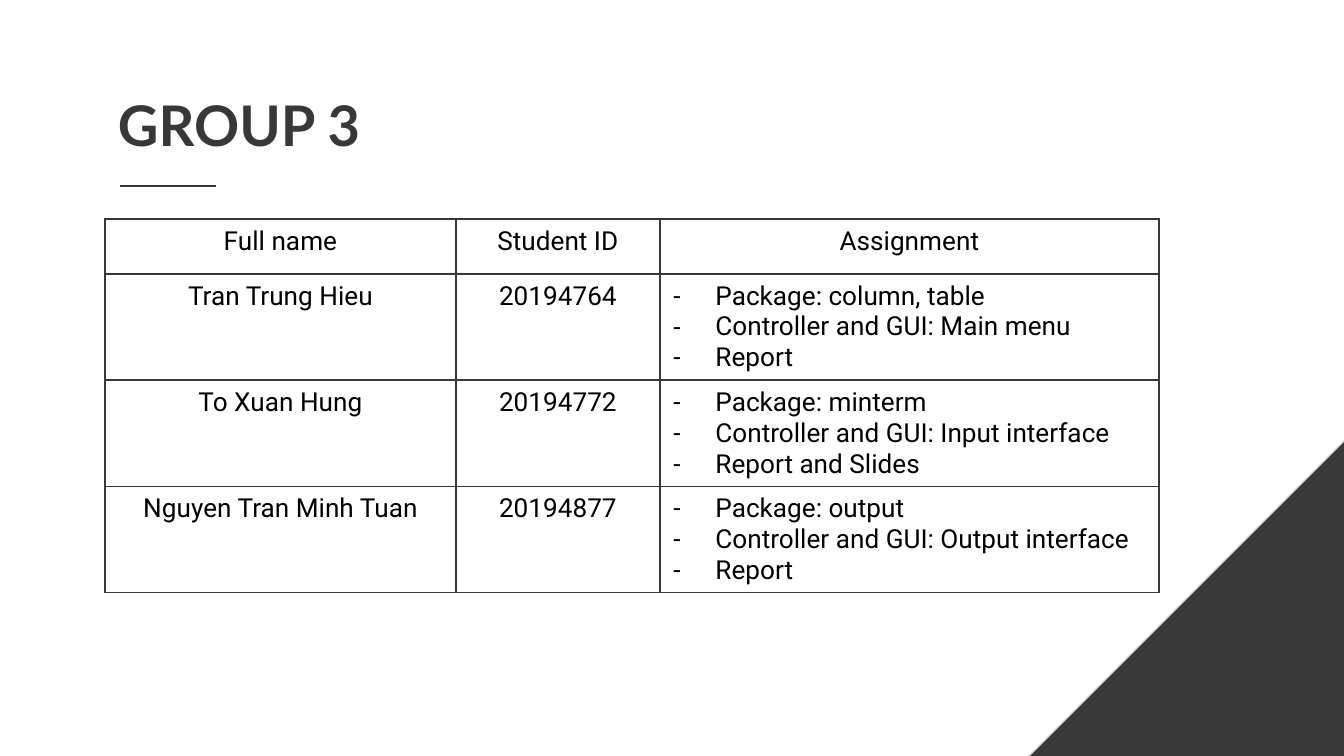
import dataclasses

import pptx
import pptx.dml.color
import pptx.enum.shapes
import pptx.enum.text
import pptx.oxml.ns
import pptx.util
from lxml import etree

SCALE = 914400 / 134.4
DARK, BLACK, PALE = "383838", "000000", "DBDBDB"
ALIGN = pptx.enum.text.PP_ALIGN
qn = pptx.oxml.ns.qn


@dataclasses.dataclass
class Member:
    """One student with an ID and a list of tasks."""
    name: str
    student_id: str
    tasks: list[str]


HEADERS = ["Full name", "Student ID", "Assignment"]
MEMBERS = [
    Member("Tran Trung Hieu", "20194764",
           ["Package: column, table", "Controller and GUI: Main menu", "Report"]),
    Member("To Xuan Hung", "20194772",
           ["Package: minterm", "Controller and GUI: Input interface", "Report and Slides"]),
    Member("Nguyen Tran Minh Tuan", "20194877",
           ["Package: output", "Controller and GUI: Output interface", "Report"]),
]
COL_WIDTHS = [351, 204, 499]
HEADER_HEIGHT, ROW_HEIGHT = 55, 106


def px(n: int) -> pptx.util.Emu:
    """Turn picture pixels into EMU."""
    return pptx.util.Emu(round(n * SCALE))


def rgb(value: str) -> pptx.dml.color.RGBColor:
    """Turn a hex string into a colour."""
    return pptx.dml.color.RGBColor.from_string(value)


def apply(obj: object, formats: dict) -> None:
    """Set each format value as an attribute."""
    for name, value in formats.items():
        setattr(obj, name, value)


def add_run(p, text: str, color: str, size: int, font: str, bold: bool = False) -> None:
    """Add formatted text to a paragraph."""
    r = p.add_run()
    r.text = text
    apply(r.font, {"name": font, "size": pptx.util.Pt(size), "bold": bold})
    r.font.color.rgb = rgb(color)


def add_corner(s) -> None:
    """Draw the dark triangle in the lower right corner."""
    sp = s.shapes.add_shape(pptx.enum.shapes.MSO_SHAPE.RIGHT_TRIANGLE,
                            px(853), px(226), px(706), px(706))
    sp.shadow.inherit = False
    sp.fill.solid()
    sp.fill.fore_color.rgb = rgb(DARK)
    sp.line.color.rgb = rgb(PALE)
    sp.line.width = pptx.util.Pt(0.75)
    sp.element.spPr.find(qn("a:xfrm")).set("flipH", "1")


def add_title(s, text: str) -> None:
    """Place and fill the title placeholder."""
    sp = s.shapes.title
    apply(sp, {"left": px(105), "top": px(78), "width": px(848), "height": px(78)})
    tf = sp.text_frame
    margins = dict.fromkeys(
        ["margin_left", "margin_right", "margin_top", "margin_bottom"], px(13))
    apply(tf, margins | {"word_wrap": True,
                         "auto_size": pptx.enum.text.MSO_AUTO_SIZE.NONE,
                         "vertical_anchor": pptx.enum.text.MSO_ANCHOR.TOP})
    p = tf.paragraphs[0]
    p.alignment = ALIGN.LEFT
    add_run(p, text, DARK, 30, "Lato", True)


def add_rule(s) -> None:
    """Draw the short line under the title."""
    line = s.shapes.add_connector(pptx.enum.shapes.MSO_CONNECTOR.STRAIGHT,
                                  px(120), px(186), px(216), px(186))
    line.line.color.rgb = rgb(DARK)
    line.line.width = pptx.util.Pt(1.5)
    etree.SubElement(line.element.spPr, qn("a:effectLst"))


def set_borders(cell, color: str, width: int) -> None:
    """Give a cell four equal borders."""
    tc_pr = cell._tc.get_or_add_tcPr()
    for i, side in enumerate(["lnL", "lnR", "lnT", "lnB"]):
        ln = etree.Element(qn(f"a:{side}"), w=str(pptx.util.Pt(width)))
        fill = etree.SubElement(ln, qn("a:solidFill"))
        etree.SubElement(fill, qn("a:srgbClr"), val=color)
        tc_pr.insert(i, ln)


def set_dash(p) -> None:
    """Give a paragraph a hanging dash bullet."""
    p_pr = p._p.get_or_add_pPr()
    p_pr.set("marL", str(px(42)))
    p_pr.set("indent", str(-px(42)))
    bu_clr = etree.SubElement(p_pr, qn("a:buClr"))
    etree.SubElement(bu_clr, qn("a:srgbClr"), val=BLACK)
    etree.SubElement(p_pr, qn("a:buFont"), typeface="Roboto")
    etree.SubElement(p_pr, qn("a:buChar"), char="-")


def fill_cell(cell, content: str | list[str]) -> None:
    """Write a centred text, or a dashed list."""
    cell.fill.background()
    set_borders(cell, DARK, 1)
    tf = cell.text_frame
    lines = [content] if isinstance(content, str) else content
    for i, text in enumerate(lines):
        p = tf.add_paragraph() if i else tf.paragraphs[0]
        if isinstance(content, str):
            p.alignment = ALIGN.CENTER
        else:
            set_dash(p)
        add_run(p, text, BLACK, 14, "Roboto")


def add_members(s) -> None:
    """Build the table of members."""
    rows = [HEADERS] + [[m.name, m.student_id, m.tasks] for m in MEMBERS]
    heights = [HEADER_HEIGHT] + [ROW_HEIGHT] * len(MEMBERS)
    table = s.shapes.add_table(len(rows), len(HEADERS), px(105), px(219),
                               px(sum(COL_WIDTHS)), px(sum(heights))).table
    apply(table, {"first_row": False, "horz_banding": False})
    for col, width in zip(table.columns, COL_WIDTHS):
        col.width = px(width)
    for row, height, contents in zip(table.rows, heights, rows):
        row.height = px(height)
        for cell, content in zip(row.cells, contents):
            fill_cell(cell, content)


def main() -> None:
    """Build and save the slide."""
    prs = pptx.Presentation()
    apply(prs, {"slide_width": px(1344), "slide_height": px(756)})
    s = prs.slides.add_slide(prs.slide_layouts[5])
    add_corner(s)
    add_title(s, "GROUP 3")
    add_rule(s)
    add_members(s)
    prs.save("out.pptx")


main()
